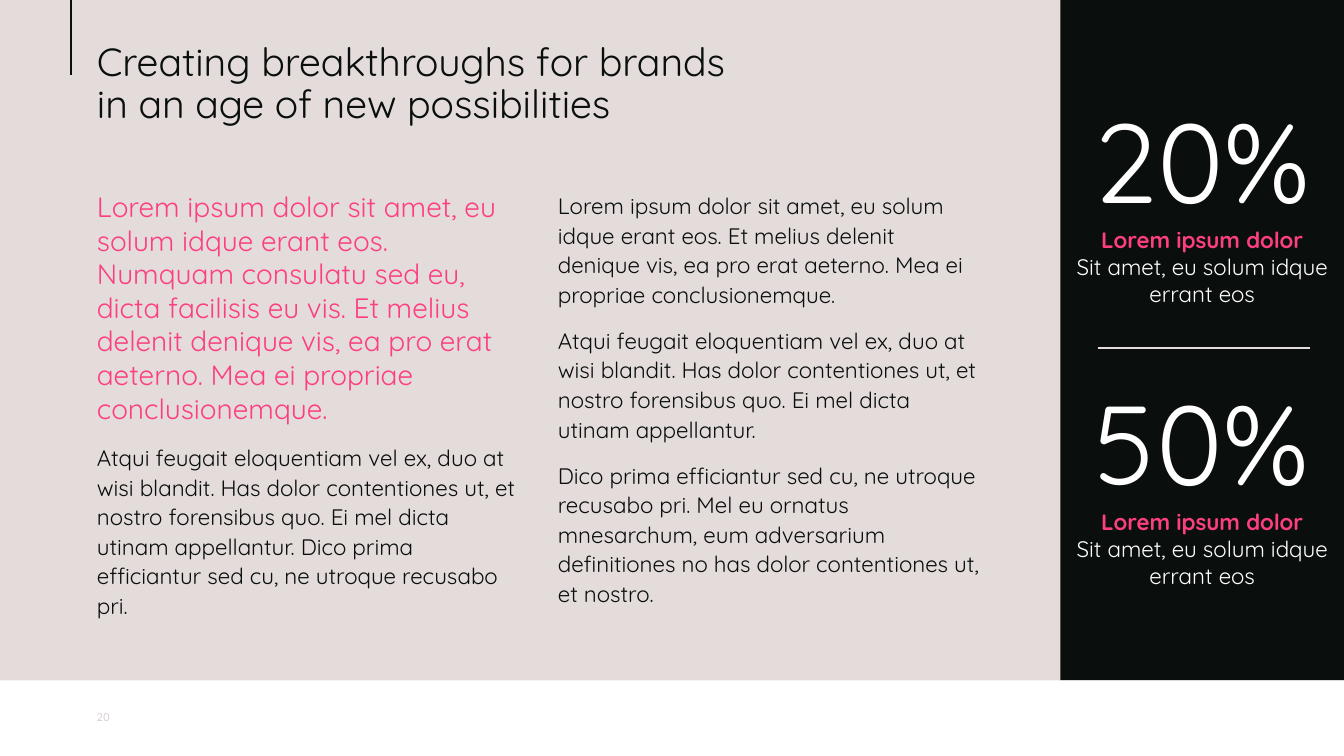
from lxml import etree
from pptx import Presentation
from pptx.dml.color import RGBColor
from pptx.enum.shapes import MSO_CONNECTOR, MSO_SHAPE
from pptx.enum.text import MSO_ANCHOR as Anchor, MSO_AUTO_SIZE as AutoSize, PP_ALIGN as Align
from pptx.oxml.ns import qn
from pptx.util import Pt

BLUSH = RGBColor(0xE3, 0xDC, 0xDB)
INK = RGBColor(0x0A, 0x0F, 0x0D)
PINK = RGBColor(0xFD, 0x3E, 0x81)
WHITE = RGBColor(0xFF, 0xFF, 0xFF)
STONE = RGBColor(0xCE, 0xC3, 0xC1)
FONT = "Quicksand"

WIDTH, HEIGHT = 960, 540
BAND_TOP = 486
LEFT, TEXT_WIDTH = 62, 645
PANEL_LEFT = 757.5

TITLE = "Creating breakthroughs for brands \nin an age of new possibilities"
LEAD = ("Lorem ipsum dolor sit amet, eu solum idque erant eos. Numquam consulatu sed eu, "
        "dicta facilisis eu vis. Et melius delenit denique vis, ea pro erat aeterno. "
        "Mea ei propriae conclusionemque.")
BODY = [
    "Atqui feugait eloquentiam vel ex, duo at wisi blandit. Has dolor contentiones ut, et "
    "nostro forensibus quo. Ei mel dicta utinam appellantur. Dico prima efficiantur sed cu, "
    "ne utroque recusabo pri.",
    "Lorem ipsum dolor sit amet, eu solum idque erant eos. Et melius delenit denique vis, "
    "ea pro erat aeterno. Mea ei propriae conclusionemque.",
    "Atqui feugait eloquentiam vel ex, duo at wisi blandit. Has dolor contentiones ut, et "
    "nostro forensibus quo. Ei mel dicta utinam appellantur.",
    "Dico prima efficiantur sed cu, ne utroque recusabo pri. Mel eu ornatus mnesarchum, "
    "eum adversarium definitiones no has dolor contentiones ut, et nostro.",
]
STATISTICS = [
    ("20%", "Lorem ipsum dolor", "Sit amet, eu solum idque errant eos"),
    ("50%", "Lorem ipsum dolor", "Sit amet, eu solum idque errant eos"),
]


def place(shape, box, anchor=Anchor.TOP):
    """Move a text shape into its box and fix its text frame."""
    shape.left, shape.top, shape.width, shape.height = map(Pt, box)
    frame = shape.text_frame
    frame.word_wrap = True
    frame.auto_size = AutoSize.NONE
    frame.vertical_anchor = anchor
    return frame


def write(frame, text, size, color, bold=False, align=Align.LEFT, spacing=1.0, after=0):
    """Write one unbulleted paragraph; a newline becomes a line break."""
    first = frame.paragraphs[0]
    paragraph = frame.add_paragraph() if first.runs else first
    paragraph.alignment = align
    paragraph.line_spacing = spacing
    paragraph.space_before = Pt(0)
    paragraph.space_after = Pt(after)
    properties = paragraph._p.get_or_add_pPr()
    properties.set("marL", "0")
    properties.set("indent", "0")
    etree.SubElement(properties, qn("a:buNone"))
    for index, line in enumerate(text.split("\n")):
        if index:
            paragraph.add_line_break()
        run = paragraph.add_run()
        run.text = line
        run.font.name = FONT
        run.font.size = Pt(size)
        run.font.bold = bold
        run.font.color.rgb = color


def add_line(slide, start, end, color, width):
    line = slide.shapes.add_connector(MSO_CONNECTOR.STRAIGHT, *map(Pt, start + end))
    line.line.color.rgb = color
    line.line.width = Pt(width)
    etree.SubElement(line._element.spPr, qn("a:effectLst"))


def add_footer(slide, box):
    """White band with the page number."""
    left, top, width, height = box
    band = slide.shapes.add_shape(MSO_SHAPE.RECTANGLE, *map(Pt, box))
    band.shadow.inherit = False
    band.fill.solid()
    band.fill.fore_color.rgb = WHITE
    band.line.fill.background()
    number_box = (left + LEFT, top + 15, 39, 23)
    number = slide.shapes.add_textbox(*map(Pt, number_box))
    write(place(number, number_box, Anchor.MIDDLE), "20", 8, STONE)


def add_heading(slide, box):
    """Title with the hanging rule to its left."""
    left = box[0]
    write(place(slide.shapes.title, box), TITLE, 28, INK, spacing=0.9)
    add_line(slide, (left - 11.5, 0), (left - 11.5, 53.5), INK, 1.5)


def add_article(placeholder, box):
    """Lead and body text flowing through two columns."""
    frame = place(placeholder, box)
    columns = frame._txBody.bodyPr
    columns.set("numCol", "2")
    columns.set("spcCol", str(Pt(28)))
    write(frame, LEAD, 20, PINK, after=12)
    for text in BODY:
        write(frame, text, 16, INK, spacing=1.1, after=12)


def add_statistics(slide, placeholder, box):
    """Dark panel of key figures, parted by a thin line."""
    left, top, width, height = box
    frame = place(placeholder, box, Anchor.MIDDLE)
    placeholder.fill.solid()
    placeholder.fill.fore_color.rgb = INK
    for figure, label, detail in STATISTICS:
        write(frame, figure, 80, WHITE, align=Align.CENTER)
        write(frame, label, 16, PINK, bold=True, align=Align.CENTER)
        write(frame, detail, 16, WHITE, align=Align.CENTER, after=48)
    middle = top + height / 2 + 5.5
    add_line(slide, (left + 26.5, middle), (left + width - 24.5, middle), BLUSH, 1)


def main():
    presentation = Presentation()
    presentation.slide_width, presentation.slide_height = Pt(WIDTH), Pt(HEIGHT)
    slide = presentation.slides.add_slide(presentation.slide_layouts[3])
    slide.background.fill.solid()
    slide.background.fill.fore_color.rgb = BLUSH
    article, panel = slide.placeholders[1], slide.placeholders[2]

    add_footer(slide, (0, BAND_TOP, WIDTH, HEIGHT - BAND_TOP))
    add_heading(slide, (LEFT, 26.5, TEXT_WIDTH, 121))
    add_article(article, (LEFT, 131.75, TEXT_WIDTH, 323.25))
    add_statistics(slide, panel, (PANEL_LEFT, 0, WIDTH - PANEL_LEFT, BAND_TOP))
    presentation.save("out.pptx")


if __name__ == "__main__":
    main()
